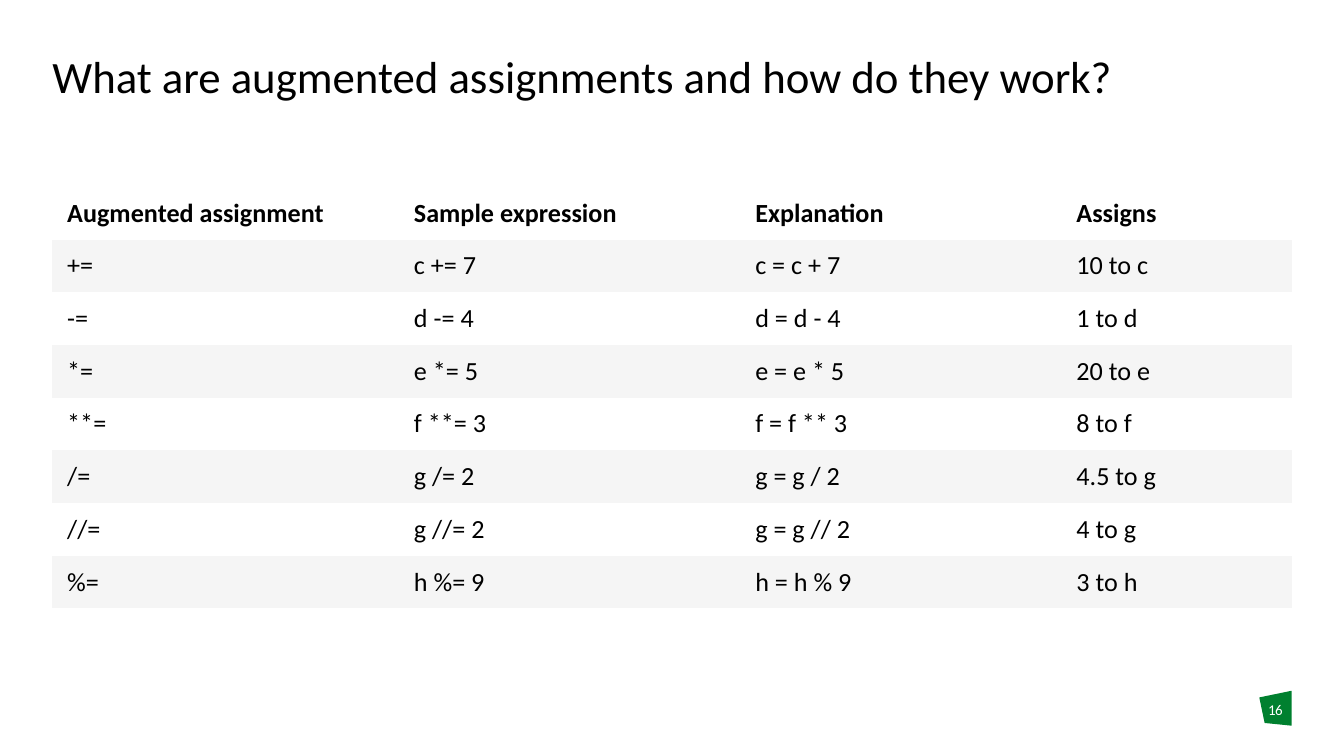
from pptx import Presentation
from pptx.dml.color import RGBColor
from pptx.enum import text
from pptx.oxml.ns import qn
from pptx.util import Inches, Pt

# Content
TITLE = "What are augmented assignments and how do they work?"
PAGE = "16"
HEADINGS = ("Augmented assignment", "Sample expression", "Explanation", "Assigns")
ASSIGNMENTS = [
    ("+=", "c += 7", "c = c + 7", "10 to c"),
    ("-=", "d -= 4", "d = d - 4", "1 to d"),
    ("*=", "e *= 5", "e = e * 5", "20 to e"),
    ("**=", "f **= 3", "f = f ** 3", "8 to f"),
    ("/=", "g /= 2", "g = g / 2", "4.5 to g"),
    ("//=", "g //= 2", "g = g // 2", "4 to g"),
    ("%=", "h %= 9", "h = h % 9", "3 to h"),
]

# Style
FONT = "Calibri"
BLACK = RGBColor(0x00, 0x00, 0x00)
WHITE = RGBColor(0xFF, 0xFF, 0xFF)
GREEN = RGBColor(0x00, 0x80, 0x2F)
BAND = RGBColor(0xF5, 0xF5, 0xF5)
NO_STYLE_NO_GRID = "{2D5ABB26-0587-4C30-8999-92F81FD0307C}"

# Grid, in inches, on a 16:9 slide
WIDTH = 10
HEIGHT = WIDTH * 9 / 16
MARGIN = 0.39
CONTENT_WIDTH = WIDTH - 2 * MARGIN
COLUMNS = (2.58, 2.54, 2.39, 1.71)
TABLE_TOP, TABLE_HEIGHT = 1.39, 3.14
BADGE = [(9.37, 5.19), (9.61, 5.14), (9.61, 5.4), (9.41, 5.38)]


def add_run(paragraph, words, size, color, bold=False):
    run = paragraph.add_run()
    run.text = words
    run.font.name, run.font.size, run.font.bold = FONT, Pt(size), bold
    run.font.color.rgb = color
    return run


def add_label(slide, box, words, size, color):
    frame = slide.shapes.add_textbox(*map(Inches, box)).text_frame
    frame.word_wrap = True
    frame.margin_left = frame.margin_right = frame.margin_top = frame.margin_bottom = 0
    paragraph = frame.paragraphs[0]
    return paragraph, add_run(paragraph, words, size, color)


def add_assignment_table(slide):
    rows = [HEADINGS, *ASSIGNMENTS]
    table = slide.shapes.add_table(
        len(rows), len(COLUMNS), Inches(MARGIN), Inches(TABLE_TOP),
        Inches(CONTENT_WIDTH), Inches(TABLE_HEIGHT)).table
    table.first_row = table.horz_banding = False
    table._tbl.tblPr.find(qn("a:tableStyleId")).text = NO_STYLE_NO_GRID
    for column, width in zip(table.columns, COLUMNS):
        column.width = Inches(width)

    for r, row in enumerate(rows):
        for c, words in enumerate(row):
            cell = table.cell(r, c)
            cell.vertical_anchor = text.MSO_ANCHOR.MIDDLE
            cell.margin_left = cell.margin_right = Inches(0.11)
            cell.margin_top = cell.margin_bottom = Inches(0.06)
            if r % 2:
                cell.fill.solid()
                cell.fill.fore_color.rgb = BAND
            else:
                cell.fill.background()
            add_run(cell.text_frame.paragraphs[0], words, 14, BLACK, bold=r == 0)


def add_page_badge(slide):
    corners = [(Inches(x), Inches(y)) for x, y in BADGE]
    outline = slide.shapes.build_freeform(*corners[0])
    outline.add_line_segments(corners[1:], close=True)
    badge = outline.convert_to_shape()
    badge.shadow.inherit = False
    badge.fill.solid()
    badge.fill.fore_color.rgb = GREEN
    badge.line.fill.background()

    paragraph, number = add_label(slide, (9.37, 5.21, 0.24, 0.3), PAGE, 8, WHITE)
    paragraph.alignment = text.PP_ALIGN.CENTER
    paragraph.space_after = Pt(6)
    number.font._element.set("spc", "-30")


def main():
    deck = Presentation()
    deck.slide_width, deck.slide_height = Inches(WIDTH), Inches(HEIGHT)
    slide = deck.slides.add_slide(deck.slide_layouts[6])

    add_page_badge(slide)
    title, _ = add_label(slide, (MARGIN, 0.41, CONTENT_WIDTH, 0.67), TITLE, 24, BLACK)
    title.line_spacing = 0.9
    add_assignment_table(slide)

    deck.save("out.pptx")


if __name__ == "__main__":
    main()
